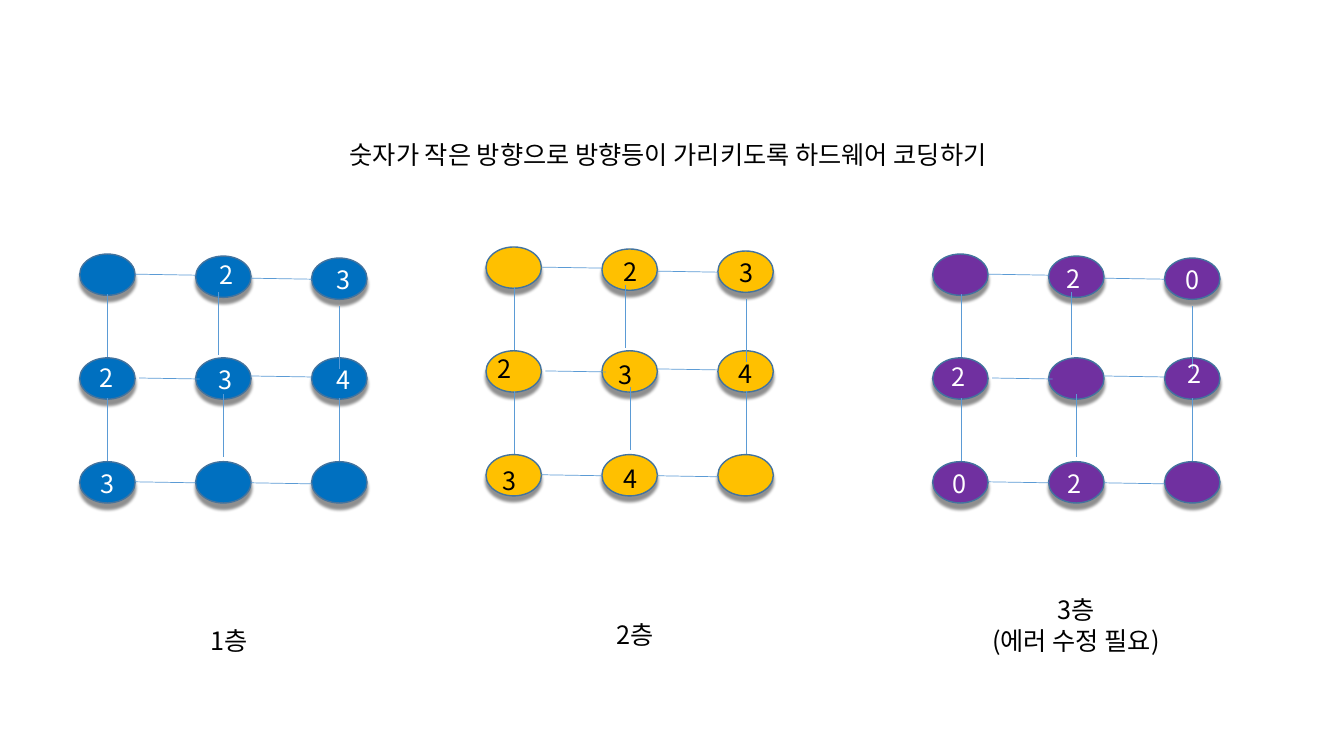
from lxml import etree
from pptx import Presentation
from pptx.dml.color import RGBColor
from pptx.enum import shapes, text
from pptx.oxml import ns
from pptx.util import Inches, Pt

COLORS = {
    "blue": "0070C0", "gold": "FFC000", "purple": "7030A0",
    "outline": "43739E", "link": "5B9BD5",
    "black": "000000", "white": "FFFFFF",
}
FONT = {"name": "Noto Sans CJK KR", "size": Pt(18)}
SHADOW = {"blurRad": Pt(2), "dist": Pt(4), "dir": 90 * 60000, "rotWithShape": 0}

NODE_WIDTH, NODE_HEIGHT = 0.55, 0.41
COLUMN_STEP, ROW_STEP = 1.15, 1.03
TOP_ROW_DROPS = [0, 0.02, 0.04]
ACROSS, ACROSS_DROP, DOWN = 0.6, 0.01, 0.62
ACROSS_STARTS = [(0.55, 0.2), (1.7, 0.24), (1.7, 1.21), (0.59, 1.23), (0.55, 2.26), (1.7, 2.27)]
DOWN_STARTS = [(0.28, 0.4), (1.38, 0.38), (2.58, 0.52), (0.28, 1.43), (1.43, 1.39), (2.58, 1.43)]
LINKS = [(x, y, ACROSS, ACROSS_DROP) for x, y in ACROSS_STARTS]
LINKS += [(x, y, 0, DOWN) for x, y in DOWN_STARTS]

FLOORS = [
    {"left": 0.79, "top": 2.52, "fill": "blue", "ink": "white",
     "label": (["1층"], 1.99, 6.15, 1, 0.4, text.PP_ALIGN.LEFT),
     "digits": [("2", 2.08, 2.52), ("3", 3.24, 2.57), ("2", 0.89, 3.55),
                ("3", 2.07, 3.57), ("4", 3.24, 3.57), ("3", 0.9, 4.6)]},
    {"left": 4.82, "top": 2.45, "fill": "gold", "ink": "black",
     "label": (["2층"], 6.02, 6.09, 1, 0.4, text.PP_ALIGN.LEFT),
     "digits": [("2", 6.09, 2.49), ("3", 7.24, 2.5), ("2", 4.84, 3.46), ("3", 6.04, 3.52),
                ("4", 7.23, 3.51), ("3", 4.89, 4.57), ("4", 6.09, 4.55)]},
    {"left": 9.25, "top": 2.52, "fill": "purple", "ink": "white",
     "label": (["3층", "(에러 수정 필요)"], 9.63, 5.85, 2.08, 0.71, text.PP_ALIGN.CENTER),
     "digits": [("2", 10.48, 2.56), ("0", 11.66, 2.57), ("2", 9.34, 3.54),
                ("2", 11.68, 3.51), ("0", 9.35, 4.6), ("2", 10.49, 4.6)]},
]

deck = Presentation()
deck.slide_width, deck.slide_height = Inches(13.33), Inches(7.5)
page = deck.slides.add_slide(deck.slide_layouts[6])


def add_text(lines, left, top, width, height, align=text.PP_ALIGN.LEFT, ink="black", wrap=True):
    box = page.shapes.add_textbox(Inches(left), Inches(top), Inches(width), Inches(height))
    frame = box.text_frame
    frame.word_wrap = wrap
    frame.auto_size = text.MSO_AUTO_SIZE.SHAPE_TO_FIT_TEXT
    for index, line in enumerate(lines):
        para = frame.paragraphs[0] if index == 0 else frame.add_paragraph()
        para.alignment = align
        span = para.add_run()
        span.text = line
        for key, value in FONT.items():
            setattr(span.font, key, value)
        span.font.color.rgb = RGBColor.from_string(COLORS[ink])
        east_asian = etree.SubElement(span.font._element, ns.qn("a:ea"))
        east_asian.set("typeface", FONT["name"])


def add_effects(shape):
    properties = shape._element.spPr
    for old in properties.findall(ns.qn("a:effectLst")):
        properties.remove(old)
    return etree.SubElement(properties, ns.qn("a:effectLst"))


for floor in FLOORS:
    label, left, top, width, height, align = floor["label"]
    add_text(label, left, top, width, height, align)

    for row in range(3):
        for column in range(3):
            drop = TOP_ROW_DROPS[column] if row == 0 else 0
            node = page.shapes.add_shape(
                shapes.MSO_SHAPE.OVAL,
                Inches(floor["left"] + column * COLUMN_STEP),
                Inches(floor["top"] + row * ROW_STEP + drop),
                Inches(NODE_WIDTH), Inches(NODE_HEIGHT))
            node.fill.solid()
            node.fill.fore_color.rgb = RGBColor.from_string(COLORS[floor["fill"]])
            node.line.color.rgb = RGBColor.from_string(COLORS["outline"])
            node.line.width = Pt(1)
            shadow = etree.SubElement(add_effects(node), ns.qn("a:outerShdw"))
            for key, value in SHADOW.items():
                shadow.set(key, str(value))
            tint = etree.SubElement(shadow, ns.qn("a:srgbClr"), val=COLORS["black"])
            etree.SubElement(tint, ns.qn("a:alpha"), val="43000")

    for x, y, run, fall in LINKS:
        left, top = floor["left"] + x, floor["top"] + y
        link = page.shapes.add_connector(
            shapes.MSO_CONNECTOR.STRAIGHT,
            Inches(left), Inches(top), Inches(left + run), Inches(top + fall))
        link.line.color.rgb = RGBColor.from_string(COLORS["link"])
        link.line.width = Pt(0.5)
        add_effects(link)

for floor in FLOORS:
    for digit, left, top in floor["digits"]:
        add_text([digit], left, top, 0.34, 0.4, ink=floor["ink"])

add_text(["숫자가 작은 방향으로 방향등이 가리키도록 하드웨어 코딩하기"], 3.37, 1.33, 7.3, 0.4, wrap=False)

deck.save("out.pptx")
